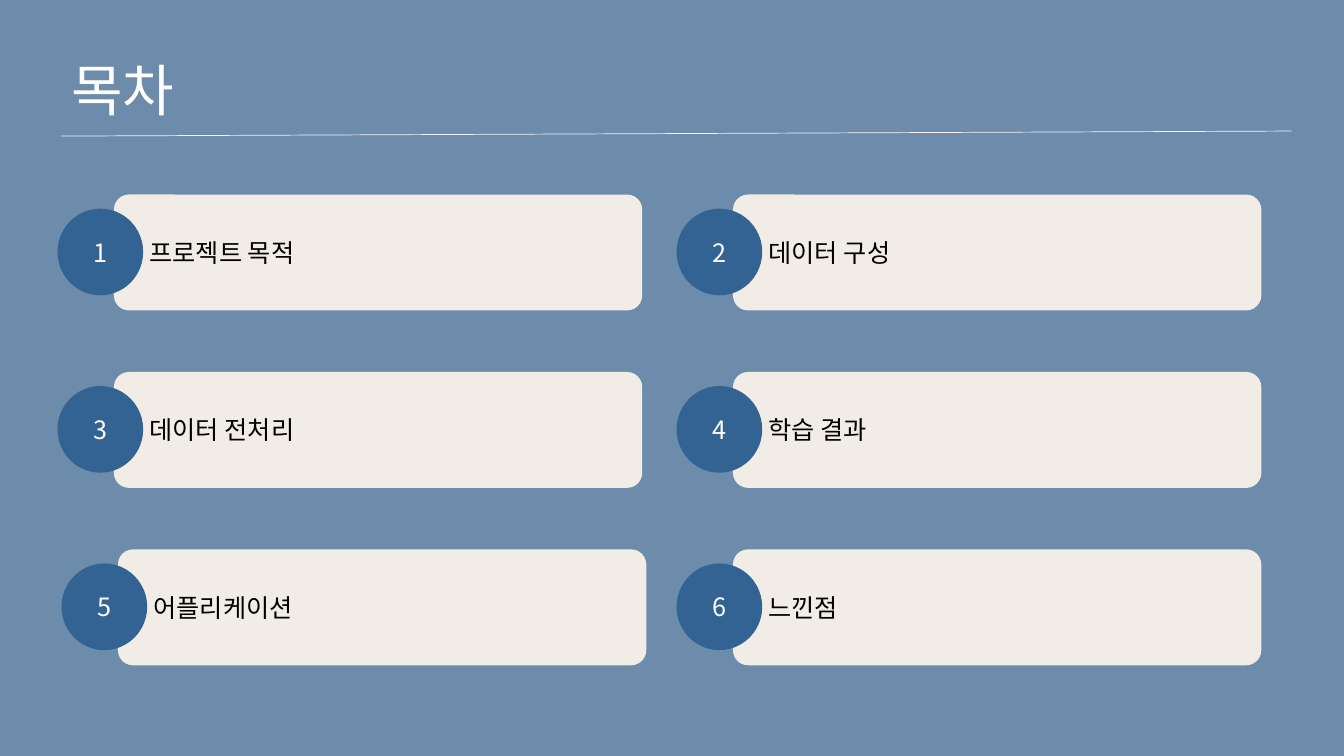
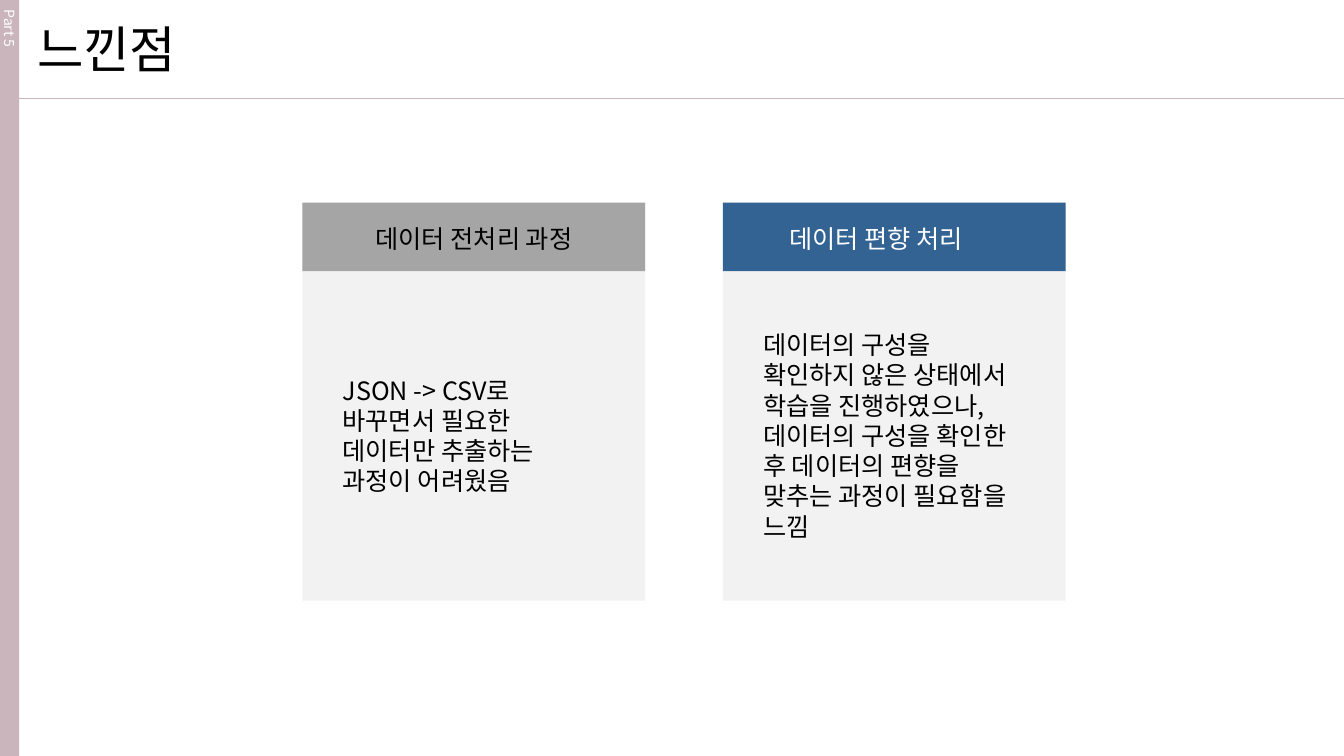
from lxml import etree
from pptx import Presentation
from pptx.dml.color import RGBColor
from pptx.enum.shapes import MSO_CONNECTOR, MSO_SHAPE
from pptx.enum.text import MSO_ANCHOR, PP_ALIGN
from pptx.oxml.ns import qn
from pptx.util import Emu, Pt

RECTANGLE = MSO_SHAPE.RECTANGLE
ROUNDED = MSO_SHAPE.ROUNDED_RECTANGLE
ELLIPSE = MSO_SHAPE.OVAL
STRAIGHT = MSO_CONNECTOR.STRAIGHT
MIDDLE = MSO_ANCHOR.MIDDLE
TOP = MSO_ANCHOR.TOP
LEFT = PP_ALIGN.LEFT
CENTER = PP_ALIGN.CENTER

EMU_PER_PX = 9144  # 100 px to the inch
WIDTH, HEIGHT = 1333, 750
FONT = "Noto Sans CJK KR"
BODY_SIZE = 18
COLORS = {
    "slate": "6D8CAC",
    "cream": "F1ECE6",
    "blue": "326393",
    "mauve": "CAB5BD",
    "pale": "F2F2F2",
    "gray": "A5A5A5",
    "black": "000000",
    "white": "FFFFFF",
}


def px(value):
    return Emu(value * EMU_PER_PX)


def color(name):
    return RGBColor.from_string(COLORS[name])


class Deck:
    """Holds the shared style and the slide being drawn."""

    def __init__(self):
        self.presentation = Presentation()
        self.presentation.slide_width = px(WIDTH)
        self.presentation.slide_height = px(HEIGHT)
        self.slide = None

    def new_slide(self, background):
        layout = self.presentation.slide_layouts[6]
        self.slide = self.presentation.slides.add_slide(layout)
        fill = self.slide.background.fill
        fill.solid()
        fill.fore_color.rgb = color(background)

    def set_text(self, shape, text, size, ink, align, anchor):
        frame = shape.text_frame
        frame.word_wrap = True
        frame.vertical_anchor = anchor
        paragraph = frame.paragraphs[0]
        paragraph.text = text
        paragraph.alignment = align
        font = paragraph.font
        font.size = Pt(size)
        font.color.rgb = color(ink)
        font.name = FONT
        # Hangul takes its typeface from the East Asian font
        defaults = paragraph._p.pPr.find(qn("a:defRPr"))
        etree.SubElement(defaults, qn("a:ea"), typeface=FONT)

    def shape(self, kind, left, top, width, height, fill, group=None):
        shapes = (group or self.slide).shapes
        shape = shapes.add_shape(kind, px(left), px(top), px(width), px(height))
        shape.shadow.inherit = False
        shape.fill.solid()
        shape.fill.fore_color.rgb = color(fill)
        shape.line.fill.background()
        return shape

    def text(self, text, left, top, width, height, size=BODY_SIZE,
             ink="black", align=LEFT, rotation=0):
        box = self.slide.shapes.add_textbox(px(left), px(top), px(width), px(height))
        box.rotation = rotation
        self.set_text(box, text, size, ink, align, TOP)

    def line(self, start, end, ink):
        points = [px(value) for value in (*start, *end)]
        connector = self.slide.shapes.add_connector(STRAIGHT, *points)
        connector.line.color.rgb = color(ink)
        connector.line.width = Pt(0.5)
        etree.SubElement(connector._element.spPr, qn("a:effectLst"))

    def agenda_item(self, number, label, left, top):
        group = self.slide.shapes.add_group_shape()
        bar = self.shape(ROUNDED, left + 56, top, 524, 115, "cream", group)
        bar.adjustments[0] = 0.13
        self.set_text(bar, label, BODY_SIZE, "black", LEFT, MIDDLE)
        bar.text_frame.margin_left = px(31)
        badge = self.shape(ELLIPSE, left, top + 14, 85, 86, "blue", group)
        self.set_text(badge, str(number), BODY_SIZE, "white", CENTER, MIDDLE)

    def card(self, left, header_fill):
        self.shape(RECTANGLE, left, 201, 340, 395, "pale")
        self.shape(RECTANGLE, left, 201, 340, 68, header_fill)


def agenda_slide(deck):
    deck.new_slide("slate")
    deck.text("목차", 61, 50, 873, 77, size=40, ink="white")
    deck.line((61, 135), (1281, 130), "pale")
    # Two columns, three rows; the fifth item sits slightly to the right
    labels = ["프로젝트 목적", "데이터 구성", "데이터 전처리",
              "학습 결과", "어플리케이션", "느낀점"]
    for index, label in enumerate(labels):
        row, column = divmod(index, 2)
        nudge = 4 if index == 4 else 0
        deck.agenda_item(index + 1, label, 57 + 614 * column + nudge, 193 + 176 * row)


def reflection_slide(deck):
    deck.new_slide("white")
    # Side band, section label and title
    deck.shape(RECTANGLE, 0, 0, 19, HEIGHT, "mauve")
    deck.line((19, 98), (WIDTH, 98), "mauve")
    deck.text("느낀점", 27, 13, 341, 71, size=36)
    deck.text("Part 5", -91, 87, 201, 27, size=10, ink="white", rotation=90)
    # Left card
    deck.card(300, "gray")
    deck.text("데이터 전처리 과정", 348, 217, 244, 40, align=CENTER)
    deck.text("JSON -> CSV로 바꾸면서 필요한 데이터만 추출하는 과정이 어려웠음",
              330, 367, 280, 131)
    # Right card
    deck.card(717, "blue")
    deck.text("데이터 편향 처리", 773, 217, 228, 40, ink="white")
    deck.text("데이터의 구성을 확인하지 않은 상태에서 학습을 진행하였으나, "
              "데이터의 구성을 확인한 후 데이터의 편향을 맞추는 과정이 필요함을 느낌",
              747, 322, 280, 222)


def main():
    deck = Deck()
    agenda_slide(deck)
    reflection_slide(deck)
    deck.presentation.save("out.pptx")


if __name__ == "__main__":
    main()
